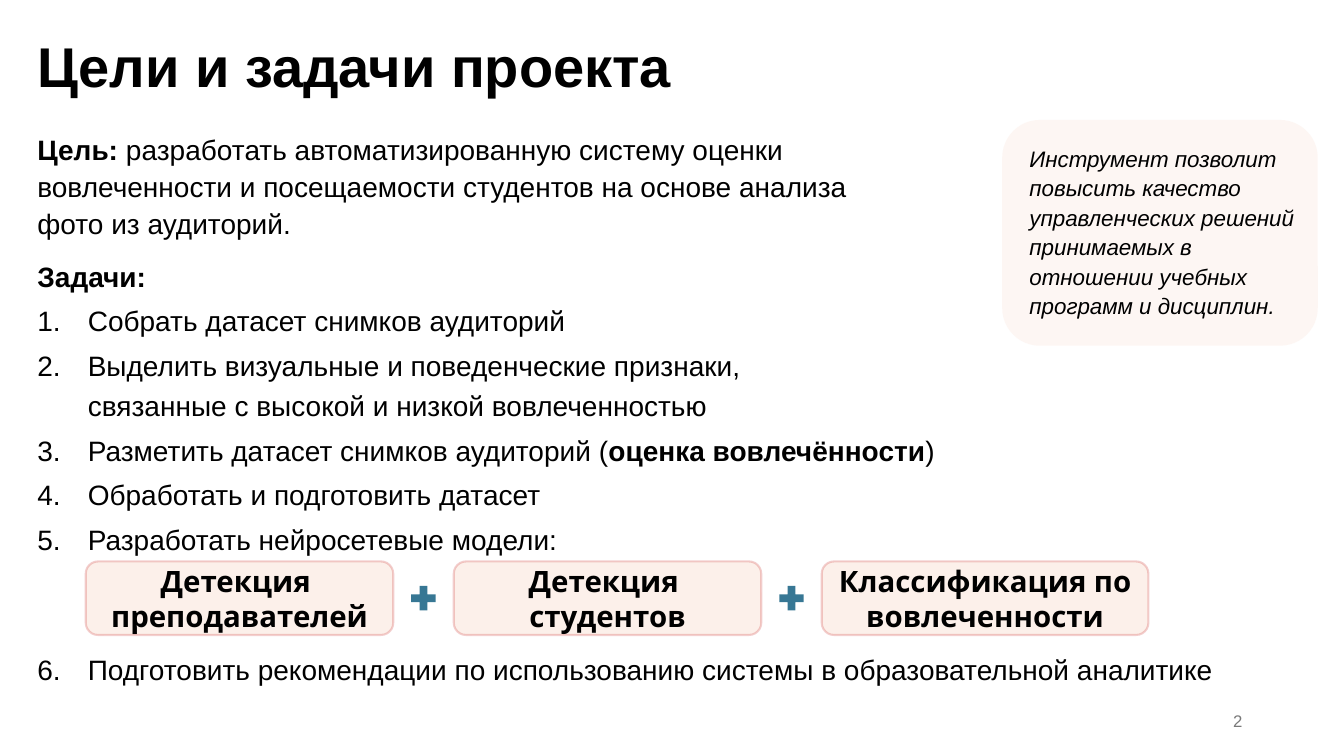
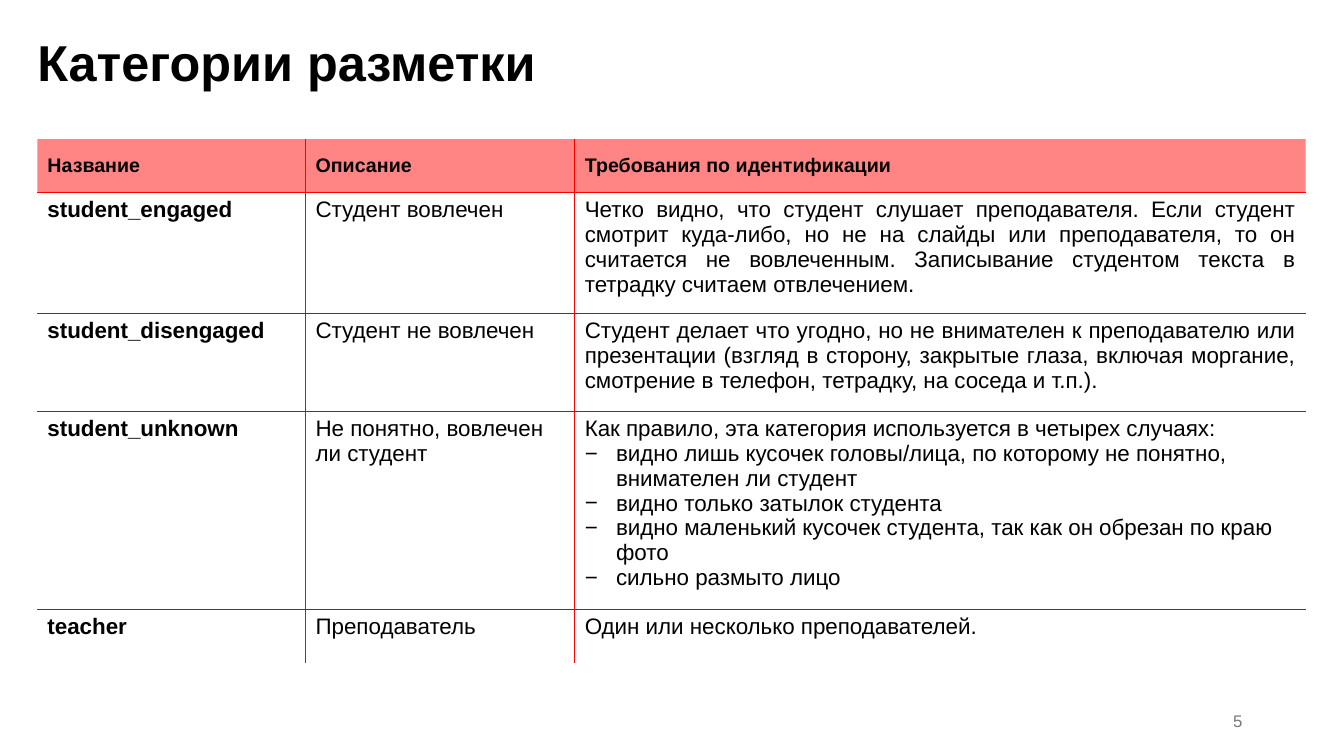
import dataclasses

import lxml.etree
import pptx
import pptx.dml.color
import pptx.enum.shapes
import pptx.enum.text
import pptx.oxml.ns
import pptx.util

RGBColor = pptx.dml.color.RGBColor
Pt = pptx.util.Pt
Inches = pptx.util.Inches
Shape = pptx.enum.shapes.MSO_SHAPE
Align = pptx.enum.text.PP_ALIGN
Anchor = pptx.enum.text.MSO_ANCHOR
qn = pptx.oxml.ns.qn

BLACK = RGBColor(0x00, 0x00, 0x00)
WHITE = RGBColor(0xFF, 0xFF, 0xFF)
GREY = RGBColor(0x79, 0x79, 0x79)
DARK = RGBColor(0x40, 0x40, 0x40)
RED = RGBColor(0xFF, 0x00, 0x00)
WINE = RGBColor(0xC0, 0x00, 0x00)
PEACH = RGBColor(0xF6, 0xC6, 0xAD)
CORAL = RGBColor(0xF2, 0xAA, 0x84)
TEAL = RGBColor(0x15, 0x60, 0x82)

FONT = "Arial"
CHIP_FONT = "Karla"
LEFT = 2.78  # left margin, percent of the slide width


@dataclasses.dataclass
class Box:
    x: float
    y: float
    w: float
    h: float

    def inner(self, x, y, w, h):
        """Return an inner box given in percent of this one."""
        return Box(self.x + self.w * x / 100, self.y + self.h * y / 100,
                   self.w * w / 100, self.h * h / 100)

    def emu(self):
        return [Inches(v) for v in (self.x, self.y, self.w, self.h)]


PAGE = Box(0, 0, 13.33, 7.5)


def split(start, size, weights, gap=0):
    """Return (start, length) pairs that share a length by weight."""
    unit = (size - gap * (len(weights) - 1)) / sum(weights)
    spans = []
    for weight in weights:
        spans.append((start, weight * unit))
        start += weight * unit + gap
    return spans


def fade(fill, percent):
    color = fill._xPr.find(qn("a:solidFill"))[0]
    lxml.etree.SubElement(color, qn("a:alpha"), val=str(percent * 1000))


def paint(fill, color, percent=100):
    fill.solid()
    fill.fore_color.rgb = color
    if percent < 100:
        fade(fill, percent)


def bullet(para, indent, mark=None):
    """Hang the paragraph on a mark, or on a running number."""
    props = para._p.get_or_add_pPr()
    props.set("marL", str(Inches(indent)))
    props.set("indent", str(-Inches(indent)))
    if mark:
        lxml.etree.SubElement(props, qn("a:buFont"), typeface=FONT)
        lxml.etree.SubElement(props, qn("a:buChar"), char=mark)
    else:
        lxml.etree.SubElement(props, qn("a:buFont"), typeface="+mj-lt")
        lxml.etree.SubElement(props, qn("a:buAutoNum"), type="arabicPeriod")


def write(para, text, size, bold=False, italic=False, color=BLACK, font=FONT):
    for i, line in enumerate(text.split("\n")):
        if i:
            para.add_line_break()
        run = para.add_run()
        run.text = line
        run.font.size = Pt(size)
        run.font.name = font
        run.font.bold = bold
        run.font.italic = italic
        run.font.color.rgb = color


def frame(slide, box, wrap=True):
    text = slide.shapes.add_textbox(*box.emu()).text_frame
    text.word_wrap = wrap
    text.margin_left = text.margin_right = 0
    text.margin_top = text.margin_bottom = 0
    return text


def shape(slide, kind, box, color, percent):
    item = slide.shapes.add_shape(kind, *box.emu())
    item.shadow.inherit = False
    paint(item.fill, color, percent)
    item.line.fill.background()
    return item


def base(deck, title, size, number):
    """Add a slide with its title and page number."""
    slide = deck.slides.add_slide(deck.slide_layouts[6])
    head = frame(slide, PAGE.inner(LEFT, 4.13, 48.39, 8.93), wrap=False)
    write(head.paragraphs[0], title, size, bold=True)
    foot = frame(slide, PAGE.inner(70.67, 92.67, 22.51, 5.33))
    foot.margin_right = Inches(0.1)
    foot.vertical_anchor = Anchor.MIDDLE
    foot.paragraphs[0].alignment = Align.RIGHT
    write(foot.paragraphs[0], number, 12, color=GREY)
    return slide


def callout(slide, box, text):
    shape(slide, Shape.ROUNDED_RECTANGLE, box, PEACH, 14)
    para = frame(slide, box.inner(8.63, 9.82, 91.05, 78.13)).paragraphs[0]
    para.line_spacing = 1.1
    write(para, text, 16, italic=True)


def goal(slide, box, label, text):
    para = frame(slide, box).paragraphs[0]
    para.line_spacing = 1.1
    write(para, label, 20, bold=True)
    write(para, text, 20)


def tasks(slide, box, title, items):
    """List numbered tasks; the last leaves room for the chips above it."""
    text = frame(slide, box)
    text.paragraphs[0].line_spacing = 1.1
    write(text.paragraphs[0], title, 20, bold=True)
    for item in items:
        para = text.add_paragraph()
        bullet(para, 0.5)
        para.line_spacing = 1.2
        para.space_before = Pt(64 if item is items[-1] else 3)
        for i, piece in enumerate(item):
            write(para, piece, 20, bold=i == 1)


def chips(slide, box, names, weights):
    """Set chips in a row with a plus in each gap."""
    gap, plus = 0.6, 0.33
    spans = split(box.x, box.w, weights, gap)
    for i, (name, (x, w)) in enumerate(zip(names, spans)):
        chip = shape(slide, Shape.ROUNDED_RECTANGLE,
                     Box(x, box.y, w, box.h), CORAL, 17)
        paint(chip.line.fill, WINE, 19)
        chip.line.width = Pt(1.5)
        text = chip.text_frame
        text.word_wrap = True
        text.vertical_anchor = Anchor.MIDDLE
        text.paragraphs[0].alignment = Align.CENTER
        write(text.paragraphs[0], name, 21, bold=True, font=CHIP_FONT)
        if i:
            sign = Box(x - (gap + plus) / 2, box.y + (box.h - plus) / 2,
                       plus, plus)
            shape(slide, Shape.MATH_PLUS, sign, TEAL, 85)


def border(cell, side, color):
    """Draw one side of a cell; no colour means no line."""
    line = lxml.etree.SubElement(cell._tc.get_or_add_tcPr(),
                                 qn("a:ln" + side), w=str(Pt(1)))
    if color is None:
        lxml.etree.SubElement(line, qn("a:noFill"))
    else:
        fill = lxml.etree.SubElement(line, qn("a:solidFill"))
        lxml.etree.SubElement(fill, qn("a:srgbClr"), val=str(color))


def edges(cell, row, col, rows, cols):
    """Rule the inside of the table and leave its outside open."""
    border(cell, "L", RED if col else None)
    border(cell, "R", RED if col < cols - 1 else None)
    border(cell, "T", None if row == 0 else RED if row == 1 else DARK)
    border(cell, "B", RED if row == 0 else DARK if row < rows - 1 else None)


def fill_cell(cell, lines, row, col):
    text = cell.text_frame
    for i, line in enumerate(lines):
        para = text.add_paragraph() if i else text.paragraphs[0]
        if i:
            bullet(para, 0.31, "−")
        elif row and col == 2 and len(lines) == 1:
            para.alignment = Align.JUSTIFY
        write(para, line, 16 if row else 14, bold=row == 0 or col == 0)
    if row:
        paint(cell.fill, WHITE)
    else:
        cell.vertical_anchor = Anchor.MIDDLE
        paint(cell.fill, RED, 48)


def grid(slide, box, data, widths, heights):
    rows, cols = len(data), len(widths)
    table = slide.shapes.add_table(rows, cols, *box.emu()).table
    table.first_row = table.horz_banding = False
    for col, (_, w) in zip(table.columns, split(0, box.w, widths)):
        col.width = Inches(w)
    for row, (_, h) in zip(table.rows, split(0, box.h, heights)):
        row.height = Inches(h)
    for r, record in enumerate(data):
        for c, lines in enumerate(record):
            cell = table.cell(r, c)
            edges(cell, r, c, rows, cols)
            fill_cell(cell, lines, r, c)


def aims(deck):
    slide = base(deck, "Цели и задачи проекта", 40, "2")
    callout(slide, PAGE.inner(74.57, 15.87, 23.48, 29.87),
            "Инструмент позволит повысить качество управленческих решений "
            "принимаемых в отношении учебных программ и дисциплин.")
    goal(slide, PAGE.inner(LEFT, 17.07, 61.97, 14.4), "Цель: ",
         "разработать автоматизированную систему оценки вовлеченности и "
         "посещаемости студентов на основе анализа фото из аудиторий.")
    tasks(slide, PAGE.inner(LEFT, 33.87, 96.7, 56.8), "Задачи:", [
        ["Собрать датасет снимков аудиторий"],
        ["Выделить визуальные и поведенческие признаки, \n"
         "связанные с высокой и низкой вовлеченностью"],
        ["Разметить датасет снимков аудиторий (", "оценка вовлечённости", ")"],
        ["Обработать и подготовить датасет"],
        ["Разработать нейросетевые модели:"],
        ["Подготовить рекомендации по использованию системы "
         "в образовательной аналитике"],
    ])
    chips(slide, PAGE.inner(6.38, 74.27, 79.07, 9.73),
          ["Детекция \nпреподавателей", "Детекция \nстудентов",
           "Классификация по вовлеченности"], [3.05, 3.05, 3.24])


def labels(deck):
    slide = base(deck, "Категории разметки", 36, "5")
    data = [
        [["Название"], ["Описание"], ["Требования по идентификации"]],
        [["student_engaged"], ["Студент вовлечен"],
         ["Четко видно, что студент слушает преподавателя. Если студент "
          "смотрит куда-либо, но не на слайды или преподавателя, то он "
          "считается не вовлеченным. Записывание студентом текста в "
          "тетрадку считаем отвлечением."]],
        [["student_disengaged"], ["Студент не вовлечен"],
         ["Студент делает что угодно, но не внимателен к преподавателю или "
          "презентации (взгляд в сторону, закрытые глаза, включая моргание, "
          "смотрение в телефон, тетрадку, на соседа и т.п.)."]],
        [["student_unknown"], ["Не понятно, вовлечен ли студент"],
         ["Как правило, эта категория используется в четырех случаях:",
          "видно лишь кусочек головы/лица, по которому не понятно, "
          "внимателен ли студент",
          "видно только затылок студента",
          "видно маленький кусочек студента, так как он обрезан по краю фото",
          "сильно размыто лицо"]],
        [["teacher"], ["Преподаватель"],
         ["Один или несколько преподавателей."]],
    ]
    grid(slide, PAGE.inner(LEFT, 18.4, 94.37, 69.07), data,
         [2.66, 2.67, 7.25], [0.53, 1.2, 0.97, 1.95, 0.53])


def main():
    deck = pptx.Presentation()
    deck.slide_width = Inches(PAGE.w)
    deck.slide_height = Inches(PAGE.h)
    aims(deck)
    labels(deck)
    deck.save("out.pptx")


if __name__ == "__main__":
    main()
